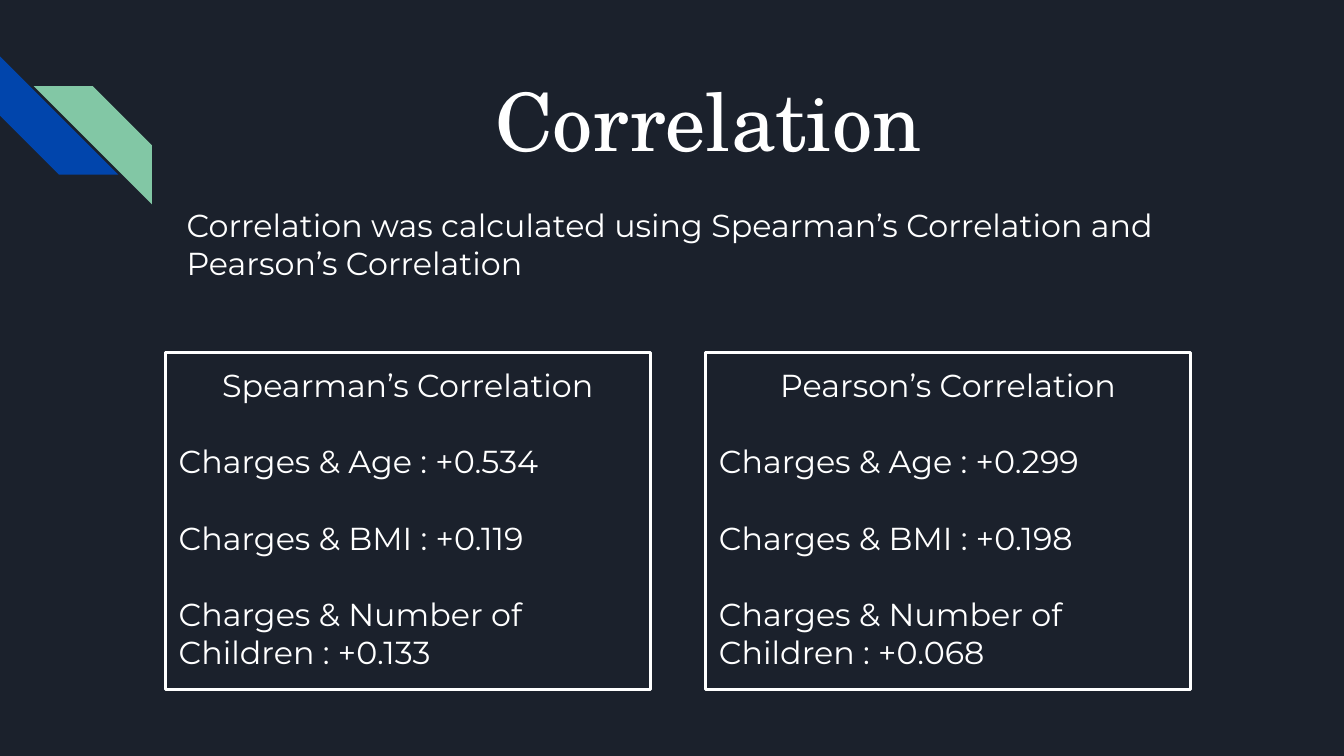
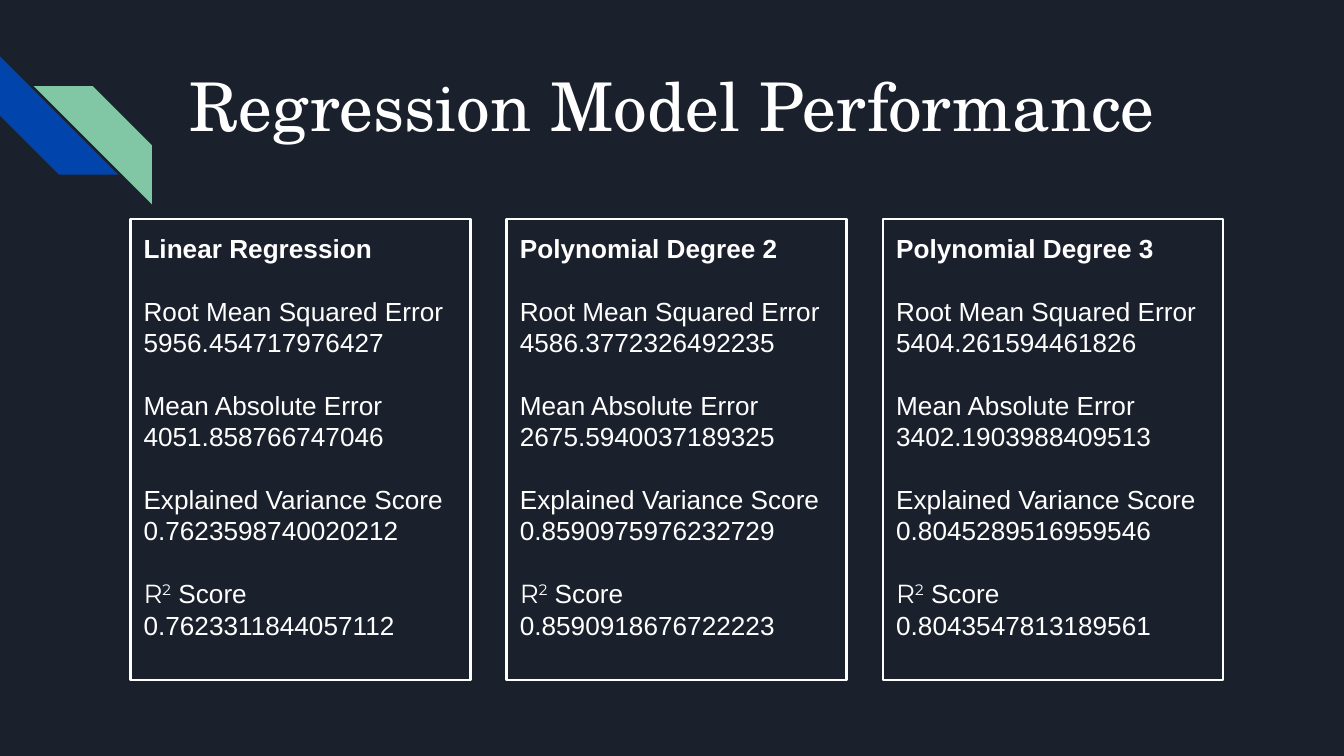
from pptx import Presentation
from pptx.dml.color import RGBColor
from pptx.enum.shapes import MSO_SHAPE
from pptx.enum.text import MSO_ANCHOR, PP_ALIGN
from pptx.util import Inches, Pt

NAVY, BLUE, GREEN, WHITE = "1B212C", "0145AC", "82C7A5", "FFFFFF"
TITLE_FONT, BODY_FONT, METRIC_FONT = "TeX Gyre Schola", "Montserrat", "Arial"

INTRO = "Correlation was calculated using Spearman’s Correlation and Pearson’s Correlation"
PAIRS = ["Age", "BMI", "Number of Children"]
CORRELATIONS = [
    ("Spearman’s Correlation", ["+0.534", "+0.119", "+0.133"]),
    ("Pearson’s Correlation", ["+0.299", "+0.198", "+0.068"]),
]

METRICS = ["Root Mean Squared Error", "Mean Absolute Error", "Explained Variance Score", "R² Score"]
MODELS = [
    ("Linear Regression",
     ["5956.454717976427", "4051.858766747046", "0.7623598740020212", "0.7623311844057112"]),
    ("Polynomial Degree 2",
     ["4586.3772326492235", "2675.5940037189325", "0.8590975976232729", "0.8590918676722223"]),
    ("Polynomial Degree 3",
     ["5404.261594461826", "3402.1903988409513", "0.8045289516959546", "0.8043547813189561"]),
]


def color(value):
    return RGBColor.from_string(value)


def set_fill(target, value):
    target.fill.solid()
    target.fill.fore_color.rgb = color(value)


def write_paragraph(para, text, font, size, align=PP_ALIGN.LEFT, bold=False):
    para.alignment = align
    para.font.name, para.font.size, para.font.bold = font, Pt(size), bold
    para.font.color.rgb = color(WHITE)
    before, squared, after = text.partition("R²")
    if not squared:
        para.add_run().text = text
        return
    for part in ("R", "2"):
        span = para.add_run()
        span.text = part
        span.font.name = BODY_FONT
    span.font._element.set("baseline", "30000")
    para.add_run().text = after


def prepare_frame(shape):
    frame = shape.text_frame
    frame.word_wrap = True
    frame.vertical_anchor = MSO_ANCHOR.TOP
    frame.margin_left = frame.margin_right = Inches(0.1)
    frame.margin_top = frame.margin_bottom = Inches(0.1)
    return frame


def add_text(page, place, *style):
    box = page.shapes.add_textbox(*map(Inches, place))
    write_paragraph(prepare_frame(box).paragraphs[0], *style)


def add_stripe(page, left, top, value):
    stripe = page.shapes.add_shape(
        MSO_SHAPE.DIAGONAL_STRIPE, Inches(left), Inches(top), Inches(0.88), Inches(0.88))
    stripe.shadow.inherit = False
    set_fill(stripe, value)
    stripe.line.fill.background()
    return stripe


def add_page(deck, title, place, size):
    page = deck.slides.add_slide(deck.slide_layouts[6])
    add_stripe(page, 0, 0.42, BLUE).rotation = 270
    green_stripe = add_stripe(page, 0.25, 0.64, GREEN)
    green_stripe._element.spPr.xfrm.set("flipH", "1")
    add_text(page, place, title, TITLE_FONT, size, PP_ALIGN.CENTER)
    return page


def add_card(page, place, heading, lines, font, size, gap, align, bold):
    card = page.shapes.add_shape(MSO_SHAPE.RECTANGLE, *map(Inches, place))
    card.shadow.inherit = False
    card.fill.background()
    card.line.color.rgb = color(WHITE)
    card.line.width = Pt(1.5)
    frame = prepare_frame(card)
    write_paragraph(frame.paragraphs[0], heading, font, size, align, bold)
    for line in lines:
        para = frame.add_paragraph()
        para.space_before = Pt(gap)
        write_paragraph(para, line, font, size)


def add_correlation_page(deck):
    page = add_page(deck, "Correlation", (1.42, 0.43, 7.7, 1), 43)
    for index, (heading, values) in enumerate(CORRELATIONS):
        lines = [f"Charges & {pair} : {value}" for pair, value in zip(PAIRS, values)]
        add_card(page, (1.23 + 4.02 * index, 2.62, 3.61, 2.51), heading, lines,
                 BODY_FONT, 17, 20.5, PP_ALIGN.CENTER, False)
    add_text(page, (1.29, 1.43, 7.96, 0.81), INTRO, BODY_FONT, 17)


def add_performance_page(deck):
    page = add_page(deck, "Regression Model Performance", (0.94, 0.38, 8.12, 0.93), 36)
    for index, (heading, values) in enumerate(MODELS):
        lines = [f"{metric} {value}" for metric, value in zip(METRICS, values)]
        add_card(page, (0.97 + 2.8 * index, 1.63, 2.53, 3.43), heading, lines,
                 METRIC_FONT, 14, 16.8, PP_ALIGN.LEFT, True)


def main():
    deck = Presentation()
    deck.slide_width = Inches(10)
    deck.slide_height = deck.slide_width * 9 // 16
    set_fill(deck.slide_master.background, NAVY)
    add_correlation_page(deck)
    add_performance_page(deck)
    deck.save("out.pptx")


if __name__ == "__main__":
    main()
